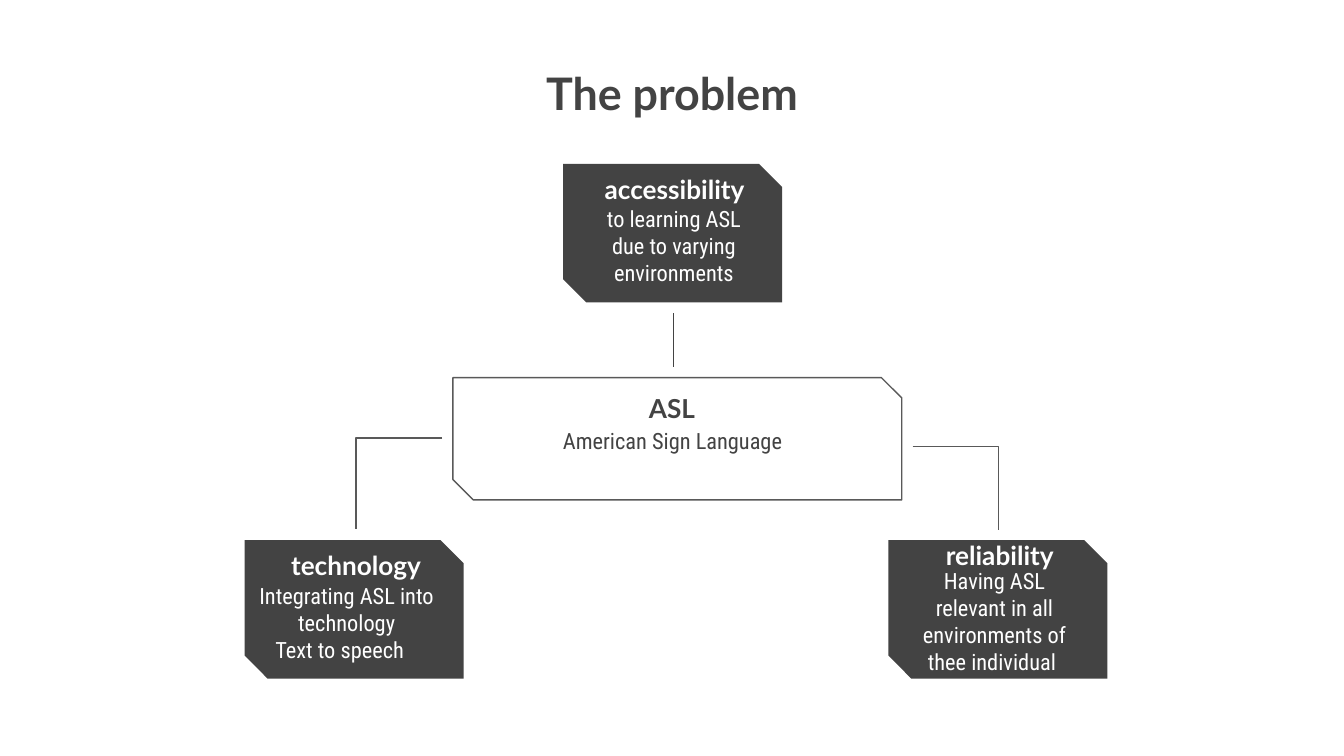
import pptx
import pptx.util
import pptx.dml.color
import pptx.enum.shapes
import pptx.enum.text
from lxml import etree

Inches = pptx.util.Inches
Pt = pptx.util.Pt
SHAPE = pptx.enum.shapes.MSO_SHAPE
LINK = pptx.enum.shapes.MSO_CONNECTOR
ALIGN = pptx.enum.text.PP_ALIGN
ANCHOR = pptx.enum.text.MSO_ANCHOR

DARK = pptx.dml.color.RGBColor(0x43, 0x43, 0x43)
GREY = pptx.dml.color.RGBColor(0x59, 0x59, 0x59)
WHITE = pptx.dml.color.RGBColor(0xFF, 0xFF, 0xFF)
HEADING_FONT, BODY_FONT = "Lato", "Roboto Condensed"

WIDTH = 10
HEIGHT = WIDTH * 9 / 16
CARD_SIZE = (1.63, 1.03)
HEADING_SIZE = (1.56, 0.43)
TOP_ROW, BOTTOM_ROW = 1.22, 4.02

# Text places are offsets from the panel's left and top.
PANELS = [
    {"at": (1.82, BOTTOM_ROW), "size": CARD_SIZE, "filled": True,
     "heading": "technology", "heading_at": (0.05, -0.03),
     "body": ["Integrating ASL into technology"], "aside": "Text to speech",
     "body_at": (-0.02, 0.21), "body_size": (1.56, 0.68)},
    {"at": (6.61, BOTTOM_ROW), "size": CARD_SIZE, "filled": True,
     "heading": "reliability", "heading_at": (0.05, -0.1),
     "body": ["Having ASL relevant in all environments of thee individual "],
     "body_at": (0.05, 0.1), "body_size": (1.48, 0.68)},
    {"at": (3.37, 2.81), "size": (3.34, 0.91), "filled": False,
     "heading": "ASL", "heading_at": (0.85, 0.01),
     "body": ["American Sign Language"],
     "body_at": (0.12, 0.27), "body_size": (3.03, 0.9)},
    {"at": (4.19, TOP_ROW), "size": CARD_SIZE, "filled": True,
     "heading": "accessibility", "heading_at": (0.05, -0.03),
     "body": ["to learning ASL due to varying environments"],
     "body_at": (0.19, 0.21), "body_size": (1.27, 0.68)},
]

LINKS = [
    (LINK.STRAIGHT, (5.01, 2.33), (5.01, 2.73), DARK),
    (LINK.ELBOW, (3.29, 3.26), (2.65, 3.94), GREY),
    (LINK.ELBOW, (6.79, 3.32), (7.43, 3.94), GREY),
]


def add_text(page, at, size, lines, font, points, color, bold=False,
             anchor=ANCHOR.TOP):
    box = page.shapes.add_textbox(*map(Inches, at + size))
    frame = box.text_frame
    frame.word_wrap = True
    frame.vertical_anchor = anchor
    frame.margin_left = frame.margin_right = Inches(0.1)
    frame.margin_top = frame.margin_bottom = Inches(0.1)
    frame.text = "\n".join(lines)
    for para in frame.paragraphs:
        para.alignment = ALIGN.CENTER
        for span in para.runs:
            span.font.name = font
            span.font.size = Pt(points)
            span.font.bold = bold
            span.font.color.rgb = color
    return box


def add_panel(page, panel):
    """Draw a snipped rectangle with its heading and body text."""
    left, top = panel["at"]
    shape = page.shapes.add_shape(
        SHAPE.SNIP_2_DIAG_RECTANGLE, *map(Inches, panel["at"] + panel["size"]))
    shape.shadow.inherit = False
    shape.adjustments[0], shape.adjustments[1] = 0, 0.167
    if panel["filled"]:
        shape.fill.solid()
        shape.fill.fore_color.rgb = DARK
        shape.line.fill.background()
    else:
        shape.fill.background()
        shape.line.color.rgb = GREY
        shape.line.width = Pt(0.75)

    color = WHITE if panel["filled"] else DARK
    dx, dy = panel["heading_at"]
    add_text(page, (left + dx, top + dy), HEADING_SIZE, [panel["heading"]],
             HEADING_FONT, 14, color, True, ANCHOR.BOTTOM)
    dx, dy = panel["body_at"]
    aside = [panel["aside"]] if "aside" in panel else []
    body = add_text(page, (left + dx, top + dy), panel["body_size"],
                    panel["body"] + aside, BODY_FONT, 12, color)
    if aside:
        para = body.text_frame.paragraphs[-1]
        para.alignment = ALIGN.LEFT
        para._p.get_or_add_pPr().set("marL", str(Inches(0.15)))


def add_link(page, kind, start, end, color):
    """Draw a thin link; an elbow runs level first, then turns at its end."""
    link = page.shapes.add_connector(kind, *map(Inches, start + end))
    link.line.color.rgb = color
    link.line.width = Pt(0.75)
    properties = link._element.spPr
    namespace = properties.nsmap["a"]
    etree.SubElement(properties, f"{{{namespace}}}effectLst")
    if kind == LINK.ELBOW:
        guides = properties.find(f".//{{{namespace}}}avLst")
        etree.SubElement(guides, f"{{{namespace}}}gd",
                         name="adj1", fmla="val 100000")


def main():
    deck = pptx.Presentation()
    deck.slide_width, deck.slide_height = Inches(WIDTH), Inches(HEIGHT)
    page = deck.slides.add_slide(deck.slide_layouts[6])
    title_width = 5.7
    add_text(page, ((WIDTH - title_width) / 2, 0.39), (title_width, 1.03),
             ["The problem"], HEADING_FONT, 24, DARK, True)
    for panel in PANELS:
        add_panel(page, panel)
    for link in LINKS:
        add_link(page, *link)
    deck.save("out.pptx")


if __name__ == "__main__":
    main()
